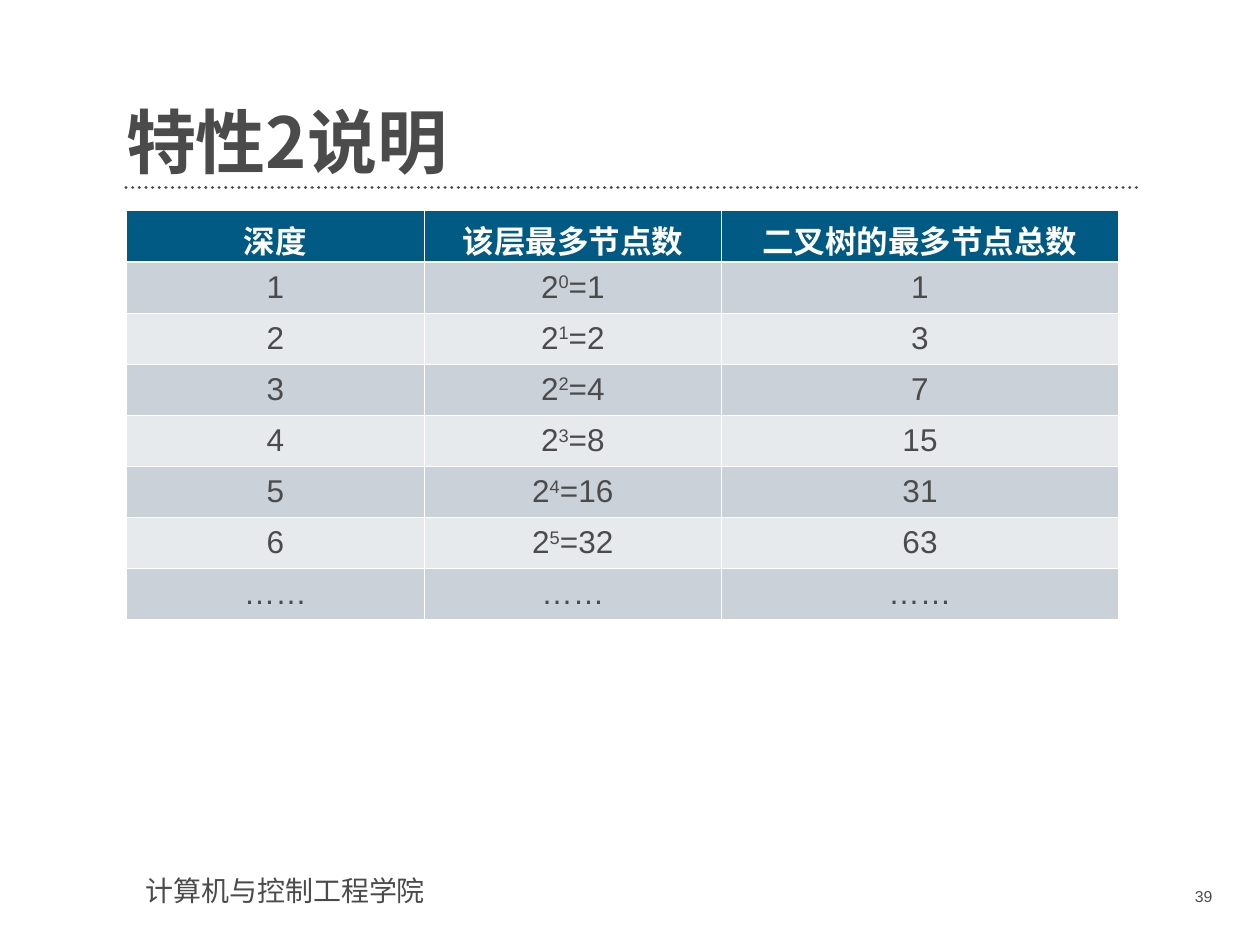
from dataclasses import dataclass

from lxml.etree import SubElement
from pptx import Presentation
from pptx.dml.color import RGBColor as RGB
from pptx.enum.dml import MSO_LINE_DASH_STYLE as DASH
from pptx.enum.shapes import MSO_CONNECTOR as CONN
from pptx.enum.text import MSO_ANCHOR as ANCHOR, MSO_AUTO_SIZE as AUTO, PP_ALIGN as ALIGN
from pptx.oxml.ns import qn
from pptx.util import Pt


@dataclass(frozen=True)
class Theme:
    ink: str = "4B4B4B"
    white: str = "FFFFFF"
    header: str = "005A84"
    bands: tuple = ("CBD1D9", "E7EAED")
    latin: str = "Arial"
    cjk: str = "Noto Sans CJK SC"
    title: int = 40
    table: int = 18
    footer: int = 16
    number: int = 9
    thin: float = 0.45
    thick: float = 1.47


class Builder:
    def __init__(self, s, theme):
        self.s = s
        self.t = theme

    def run(self, p, text, size, color=None, bold=False, font=None, base=0):
        r = p.add_run()
        r.text = text
        r.font.size = Pt(size)
        r.font.bold = bold
        r.font.name = font or self.t.latin
        r.font.color.rgb = RGB.from_string(color or self.t.ink)
        rPr = r._r.get_or_add_rPr()
        SubElement(rPr, qn("a:ea")).set("typeface", self.t.cjk)
        if base:
            rPr.set("baseline", str(base * 1000))

    def title(self, text, x, y, w, h):
        sp = self.s.shapes.title
        sp.left, sp.top, sp.width, sp.height = Pt(x), Pt(y), Pt(w), Pt(h)
        tf = sp.text_frame
        tf.auto_size = AUTO.NONE
        tf.word_wrap = True
        tf.vertical_anchor = ANCHOR.BOTTOM
        tf.margin_left = tf.margin_right = tf.margin_top = tf.margin_bottom = 0
        p = tf.paragraphs[0]
        p.alignment = ALIGN.LEFT
        p.line_spacing = 0.9
        p.space_before = Pt(0)
        self.run(p, text, self.t.title, bold=True, font=self.t.cjk)

    def rule(self, x, y, w):
        ln = self.s.shapes.add_connector(CONN.STRAIGHT, Pt(x), Pt(y), Pt(x + w), Pt(y))
        ln.line.color.rgb = RGB.from_string(self.t.ink)
        ln.line.width = Pt(1.9)
        ln.line.dash_style = DASH.ROUND_DOT
        ln.line._ln.set("cap", "rnd")
        SubElement(ln._element.spPr, qn("a:effectLst"))

    def text(self, text, x, y, w, h, size, align=ALIGN.LEFT):
        tf = self.s.shapes.add_textbox(Pt(x), Pt(y), Pt(w), Pt(h)).text_frame
        tf.word_wrap = True
        p = tf.paragraphs[0]
        p.alignment = align
        self.run(p, text, size)

    def borders(self, cell, top, bottom):
        tcPr = cell._tc.get_or_add_tcPr()
        widths = {"lnL": self.t.thin, "lnR": self.t.thin, "lnT": top, "lnB": bottom}
        for i, (tag, width) in enumerate(widths.items()):
            ln = SubElement(tcPr, qn(f"a:{tag}"), w=str(Pt(width)))
            fill = SubElement(ln, qn("a:solidFill"))
            SubElement(fill, qn("a:srgbClr"), val=self.t.white)
            tcPr.insert(i, ln)

    def cell(self, cell, runs, row):
        t = self.t
        head = row == 0
        cell.fill.solid()
        cell.fill.fore_color.rgb = RGB.from_string(t.header if head else t.bands[(row - 1) % 2])
        cell.vertical_anchor = ANCHOR.MIDDLE
        self.borders(cell, t.thick if row == 1 else t.thin, t.thick if head else t.thin)
        p = cell.text_frame.paragraphs[0]
        p.alignment = ALIGN.CENTER
        for text, base in runs:
            self.run(p, text, t.table, t.white if head else t.ink, head, base=base)

    def table(self, rows, x, y, widths, row_h):
        tbl = self.s.shapes.add_table(
            len(rows), len(widths), Pt(x), Pt(y), Pt(sum(widths)), Pt(row_h * len(rows))
        ).table
        for col, w in zip(tbl.columns, widths):
            col.width = Pt(w)
        for i, row in enumerate(rows):
            tbl.rows[i].height = Pt(row_h)
            for j, runs in enumerate(row):
                self.cell(tbl.cell(i, j), runs, i)


def plain(*texts):
    return [[(text, 0)] for text in texts]


def depth_row(depth):
    first, last = plain(str(depth), str(2**depth - 1))
    power = [("2", 0), (str(depth - 1), 30), (f"={2 ** (depth - 1)}", 0)]
    return [first, power, last]


def main():
    prs = Presentation()
    prs.slide_width, prs.slide_height = Pt(720), Pt(540)
    theme = Theme()
    b = Builder(prs.slides.add_slide(prs.slide_layouts[5]), theme)
    b.rule(72, 107.3, 580.3)
    b.text("计算机与控制工程学院", 76.3, 495.4, 198.7, 26.6, theme.footer)
    b.title("特性2说明", 72, 39.6, 580.3, 65.5)
    rows = [
        plain("深度", "该层最多节点数", "二叉树的最多节点总数"),
        *(depth_row(d) for d in range(1, 7)),
        plain("……", "……", "……"),
    ]
    b.table(rows, 72.3, 120.4, (170, 170, 226.8), 29.2)
    b.text("39", 628.6, 503.3, 71.3, 20.9, theme.number, ALIGN.RIGHT)
    prs.save("out.pptx")


if __name__ == "__main__":
    main()
